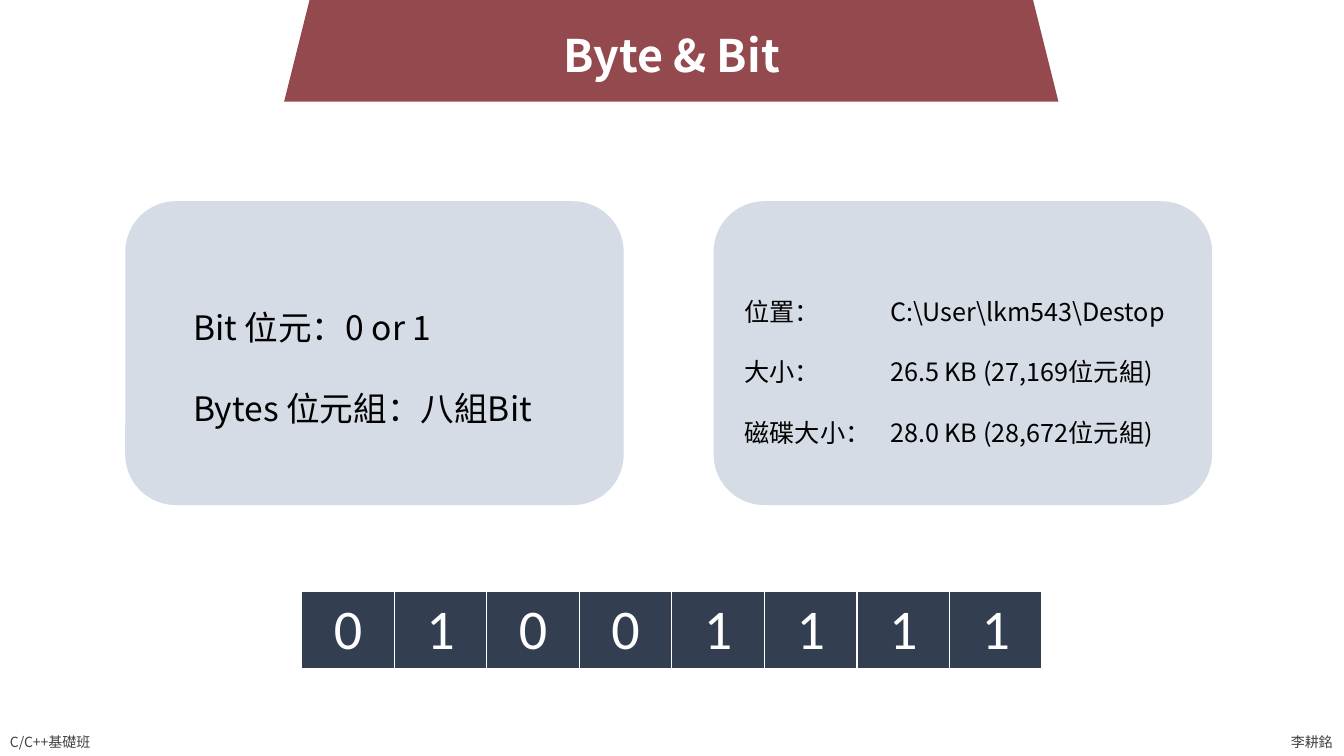
import pptx
import pptx.dml.color
import pptx.enum.shapes
import pptx.enum.text
import pptx.oxml.ns
import pptx.util
from lxml import etree

Pt = pptx.util.Pt
SHAPE = pptx.enum.shapes.MSO_SHAPE
ALIGN = pptx.enum.text.PP_ALIGN
ANCHOR = pptx.enum.text.MSO_ANCHOR
qn = pptx.oxml.ns.qn

COLORS = {"banner": "94494E", "card": "D6DCE5", "bit": "333F50",
          "light": "FFFFFF", "body": "000000", "footer": "404040"}
SANS = "Noto Sans CJK TC"


def color(name):
    return pptx.dml.color.RGBColor.from_string(COLORS[name])


def set_format(target, values):
    for name, value in values.items():
        setattr(target, name, value)


def style_run(run, size, ink, font=SANS, bold=False):
    set_format(run.font, {"size": Pt(size), "name": font, "bold": bold})
    run.font.color.rgb = color(ink)
    east_asian = etree.SubElement(run.font._element, qn("a:ea"))
    east_asian.set("typeface", font)


def add_panel(slide, preset, box, fill):
    panel = slide.shapes.add_shape(preset, *map(Pt, box))
    panel.shadow.inherit = False
    panel.fill.solid()
    panel.fill.fore_color.rgb = color(fill)
    panel.line.fill.background()


def add_tab_stop(paragraph, position):
    tabs = etree.SubElement(paragraph._p.get_or_add_pPr(), qn("a:tabLst"))
    stop = etree.SubElement(tabs, qn("a:tab"))
    stop.set("pos", str(Pt(position)))
    stop.set("algn", "l")


def add_text(slide, box, lines, size, ink, bold=False, wrap=False,
             anchor=ANCHOR.TOP, align=ALIGN.LEFT, spacing=None, tab=None):
    frame = slide.shapes.add_textbox(*map(Pt, box)).text_frame
    set_format(frame, {"word_wrap": wrap, "vertical_anchor": anchor,
                       "auto_size": pptx.enum.text.MSO_AUTO_SIZE.SHAPE_TO_FIT_TEXT})
    for index, line in enumerate(lines):
        paragraph = frame.add_paragraph() if index else frame.paragraphs[0]
        set_format(paragraph, {"alignment": align, "line_spacing": spacing})
        if tab:
            add_tab_stop(paragraph, tab)
        run = paragraph.add_run()
        run.text = line
        style_run(run, size, ink, bold=bold)


def add_bit_row(slide, box, bits):
    byte = slide.shapes.add_table(1, len(bits), *map(Pt, box)).table
    for column, bit in enumerate(bits):
        byte.columns[column].width = Pt(box[2] / len(bits))
        cell = byte.cell(0, column)
        cell.fill.solid()
        cell.fill.fore_color.rgb = color("bit")
        paragraph = cell.text_frame.paragraphs[0]
        paragraph.alignment = ALIGN.CENTER
        run = paragraph.add_run()
        run.text = bit
        style_run(run, 40, "light", font="Calibri")


def main():
    deck = pptx.Presentation()
    set_format(deck, {"slide_width": Pt(960), "slide_height": Pt(540)})
    slide = deck.slides.add_slide(deck.slide_layouts[6])

    # Title banner
    add_panel(slide, SHAPE.TRAPEZOID, (203, -15, 553, 87.5), "banner")
    add_text(slide, (394.5, 16, 171, 46), ["Byte & Bit"], 32, "light",
             bold=True, anchor=ANCHOR.MIDDLE, align=ALIGN.CENTER)

    # Cards: definitions and file sizes
    for left in (89.5, 509.75):
        add_panel(slide, SHAPE.ROUNDED_RECTANGLE, (left, 143.75, 356, 217), "card")
    add_text(slide, (131, 187, 274, 114.5),
             ["Bit 位元：0 or 1", "Bytes 位元組：八組Bit"],
             24, "body", wrap=True, spacing=2.0)
    add_text(slide, (524.75, 186.5, 326, 132),
             ["位置：\tC:\\User\\lkm543\\Destop",
              "大小：\t26.5 KB (27,169位元組)",
              "磁碟大小：\t28.0 KB (28,672位元組)"],
             18, "body", wrap=True, spacing=2.0, tab=104)

    # One byte as eight bits
    add_bit_row(slide, (215.5, 422.5, 529, 55.4), "01001111")

    # Footer
    add_text(slide, (0, 520.5, 77, 19.5), ["C/C++基礎班"], 10, "footer")
    add_text(slide, (915, 520.5, 45, 19.5), ["李耕銘"], 10, "footer",
             anchor=ANCHOR.MIDDLE)

    deck.save("out.pptx")


if __name__ == "__main__":
    main()
